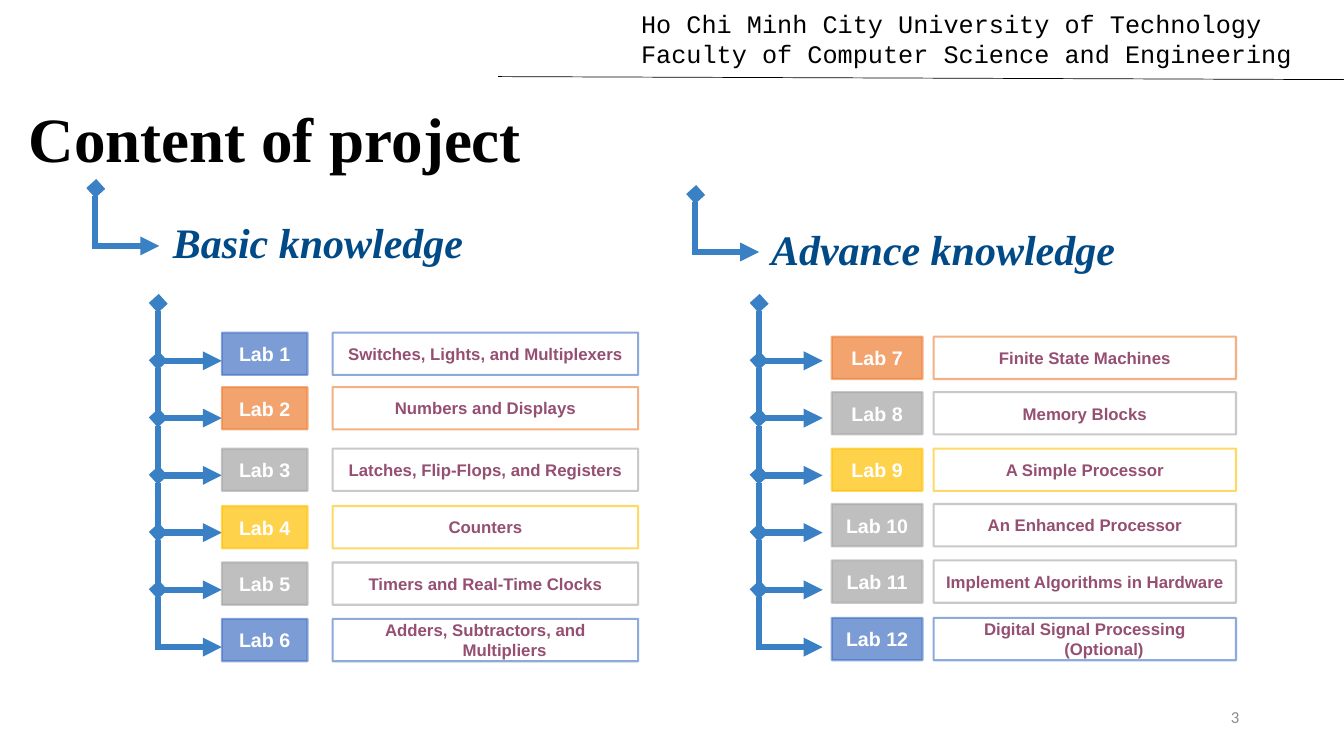
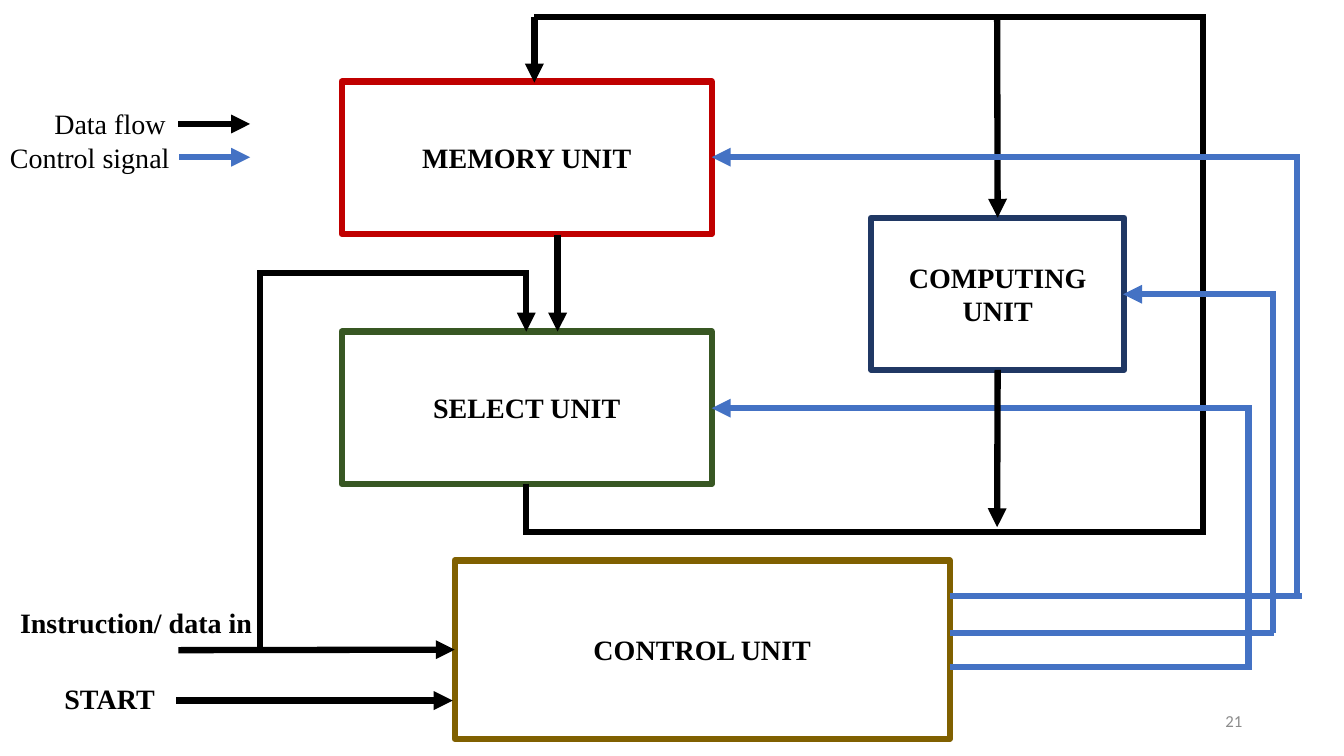
from lxml import etree
from pptx import Presentation
from pptx.dml.color import RGBColor
from pptx.enum import shapes, text
from pptx.oxml.ns import qn
from pptx.util import Inches, Pt

BLACK = RGBColor(0, 0, 0)
WHITE = RGBColor(255, 255, 255)
GREY = RGBColor(0x8C, 0x8C, 0x8C)
NAVY = RGBColor(0x00, 0x4A, 0x87)
PLUM = RGBColor(0x95, 0x4F, 0x72)
STEP = RGBColor(0x39, 0x80, 0xC5)
BLUE = RGBColor(0x44, 0x72, 0xC4)
ORANGE = RGBColor(0xED, 0x7D, 0x31)
SILVER = RGBColor(0xA5, 0xA5, 0xA5)
GOLD = RGBColor(0xFF, 0xC0, 0x00)
RED = RGBColor(0xC0, 0x00, 0x00)
GREEN = RGBColor(0x38, 0x57, 0x23)
DEEP = RGBColor(0x20, 0x38, 0x64)
BROWN = RGBColor(0x80, 0x60, 0x00)

SERIF = "Times New Roman"
LEFT, CENTER, RIGHT = (text.PP_ALIGN.LEFT, text.PP_ALIGN.CENTER, text.PP_ALIGN.RIGHT)
TITLE = dict(name=SERIF, size=Pt(45), bold=True, color=BLACK)
SECTION = dict(name=SERIF, size=Pt(30), bold=True, italic=True, color=NAVY)
HEADER = dict(name="Courier New", size=Pt(18), color=BLACK)
NUMBER = dict(name="Calibri", size=Pt(12), color=GREY)
LAB = dict(name="Arial", size=Pt(14), bold=True, color=WHITE)
TOPIC = dict(name="Arial", size=Pt(12), bold=True, color=PLUM)
LABEL = dict(name=SERIF, size=Pt(20), color=BLACK)
STRONG = dict(LABEL, bold=True)

UNIVERSITY = "Ho Chi Minh City University of Technology\nFaculty of Computer Science and Engineering"

COLUMNS = [
    dict(heading="Basic knowledge", heading_at=(1.6, 2.1, 3.11, 0.61),
         branch=(0.95, 1.87), spine=(1.57, 3.01), lab=(2.2, 0.85), topic=(3.3, 3.03),
         rows=[("Lab 1", "Switches, Lights, and Multiplexers", BLUE, 3.3),
               ("Lab 2", "Numbers and Displays", ORANGE, 3.84),
               ("Lab 3", "Latches, Flip-Flops, and Registers", SILVER, 4.45),
               ("Lab 4", "Counters", GOLD, 5.02),
               ("Lab 5", "Timers and Real-Time Clocks", SILVER, 5.58),
               ("Lab 6", "Adders, Subtractors, and Multipliers", BLUE, 6.14)]),
    dict(heading="Advance knowledge", heading_at=(7.53, 2.17, 3.65, 0.61),
         branch=(6.9, 1.93), spine=(7.53, 3.01), lab=(8.25, 0.9), topic=(9.26, 3),
         rows=[("Lab 7", "Finite State Machines", ORANGE, 3.34),
               ("Lab 8", "Memory Blocks", SILVER, 3.89),
               ("Lab 9", "A Simple Processor", GOLD, 4.45),
               ("Lab 10", "An Enhanced Processor", SILVER, 5),
               ("Lab 11", "Implement Algorithms in Hardware", SILVER, 5.56),
               ("Lab 12", "Digital Signal Processing (Optional)", BLUE, 6.13)]),
]
STEP_W, STEP_H, STEP_PITCH = 0.63, 0.57, 0.568
ROW_H = 0.42

UNITS = [
    ("MEMORY UNIT", (3.39, 0.81, 3.67, 1.51), RED),
    ("SELECT UNIT", (3.39, 3.29, 3.67, 1.51), GREEN),
    ("COMPUTING UNIT", (8.64, 2.16, 2.51, 1.51), DEEP),
    ("CONTROL UNIT", (4.51, 5.56, 4.91, 1.77), BROWN),
]
ROUTES = [
    ([(2.58, 6.45), (2.58, 2.71), (5.22, 2.71), (5.22, 3.29)], "triangle"),
    ([(5.22, 4.8), (5.22, 5.28), (11.93, 5.28), (11.93, 0.17), (5.3, 0.17)], None),
]
DATA_ARROWS = [
    ((1.77, 6.45), (4.51, 6.45), None, ("CONTROL UNIT", 1)),
    ((5.53, 2.33), (5.53, 3.29), None, None),
    ((5.3, 0.17), (5.3, 0.82), None, None),
    ((9.89, 0.17), (9.89, 2.16), None, ("COMPUTING UNIT", 0)),
    ((1.77, 1.23), (2.48, 1.23), None, None),
    ((1.75, 6.95), (4.49, 6.95), None, None),
]
COMPUTED = ((9.89, 3.67), (9.89, 5.23), ("COMPUTING UNIT", 2), None)
SIGNALS = [
    (12.88, 12.91, 5.91, (7.06, 1.56)),
    (12.63, 12.63, 6.28, (11.14, 2.92)),
    (12.4, 12.42, 6.62, (7.06, 4.05)),
]
CAPTIONS = [
    ("Instruction/ data in", (0.1, 5.96, 2.52, 0.44), STRONG),
    ("START", (0.54, 6.71, 1.11, 0.44), STRONG),
    ("Data flow", (0.44, 1.01, 1.32, 0.44), LABEL),
    ("Control signal", (0, 1.34, 1.8, 0.44), LABEL),
]


def write(shape, words, style, align, middle=False, wrap=True, hang=0):
    frame = shape.text_frame
    frame.word_wrap = wrap
    frame.vertical_anchor = text.MSO_ANCHOR.MIDDLE if middle else text.MSO_ANCHOR.TOP
    for index, line in enumerate(words.split("\n")):
        para = frame.add_paragraph() if index else frame.paragraphs[0]
        para.alignment = align
        if hang:
            props = para._p.get_or_add_pPr()
            props.set("marL", str(Inches(hang)))
            props.set("indent", str(-Inches(hang)))
        span = para.add_run()
        span.text = line
        for key, value in style.items():
            if key == "color":
                span.font.color.rgb = value
            else:
                setattr(span.font, key, value)


def add_text(page, words, at, style, align=LEFT, **layout):
    box = page.shapes.add_textbox(*map(Inches, at))
    write(box, words, style, align, **layout)


def set_alpha(fill_parent, percent):
    color = fill_parent.find(qn("a:solidFill"))[0]
    etree.SubElement(color, qn("a:alpha"), val=str(percent * 1000))


def add_box(page, words, at, style, line, width, fill=None, **layout):
    box = page.shapes.add_shape(shapes.MSO_SHAPE.RECTANGLE, *map(Inches, at))
    box.shadow.inherit = False
    if fill is None:
        box.fill.background()
    else:
        box.fill.solid()
        box.fill.fore_color.rgb = fill
    box.line.color.rgb = line
    box.line.width = Pt(width)
    write(box, words, style, CENTER, middle=True, **layout)
    return box


def style_line(shape, color, width, head, tail):
    shape.line.color.rgb = color
    shape.line.width = Pt(width)
    props = shape.element.spPr
    outline = props.find(qn("a:ln"))
    etree.SubElement(outline, qn("a:miter"), lim="800000")
    for tag, kind in (("a:headEnd", head), ("a:tailEnd", tail)):
        if kind:
            etree.SubElement(outline, qn(tag), type=kind)
    if props.find(qn("a:effectLst")) is None:
        etree.SubElement(props, qn("a:effectLst"))


def add_line(page, start, end, color, width=4.5, head=None, tail=None, bend=None):
    kind = shapes.MSO_CONNECTOR.STRAIGHT if bend is None else shapes.MSO_CONNECTOR.ELBOW
    line = page.shapes.add_connector(kind, *map(Inches, (*start, *end)))
    if bend is not None:
        guides = line.element.spPr.find(qn("a:prstGeom")).get_or_add_avLst()
        etree.SubElement(guides, qn("a:gd"), name="adj1", fmla=f"val {bend}")
    style_line(line, color, width, head, tail)
    return line


def add_route(page, points, tail):
    start, *rest = [tuple(map(Inches, point)) for point in points]
    builder = page.shapes.build_freeform(*start)
    builder.add_line_segments(rest, close=False)
    route = builder.convert_to_shape()
    route.shadow.inherit = False
    route.fill.background()
    style_line(route, BLACK, 4.5, None, tail)


def add_step(page, x, y):
    add_line(page, (x, y), (x + STEP_W, y + STEP_H), STEP,
             head="diamond", tail="triangle", bend=-700)


def add_page(deck, number, number_at):
    page = deck.slides.add_slide(deck.slide_layouts[6])
    add_text(page, number, (*number_at, 3, 0.4), NUMBER, RIGHT, middle=True)
    return page


def build_contents(deck):
    page = add_page(deck, "3", (9.39, 6.91))
    add_text(page, "Content of project", (0.11, 0.94, 5.23, 0.86), TITLE, CENTER)
    add_text(page, UNIVERSITY, (6.26, 0.03, 6.67, 0.71), HEADER)
    add_line(page, (4.94, 0.76), (13.33, 0.79), BLACK, 0.5)
    for column in COLUMNS:
        add_step(page, *column["branch"])
        add_text(page, column["heading"], column["heading_at"], SECTION, CENTER, wrap=False)
        spine_x, spine_y = column["spine"]
        for index in range(len(column["rows"])):
            add_step(page, spine_x, spine_y + index * STEP_PITCH)
        for lab, topic, color, top in column["rows"]:
            for words, place, style, fill in ((lab, "lab", LAB, color),
                                              (topic, "topic", TOPIC, None)):
                left, width = column[place]
                box = add_box(page, words, (left, top, width, ROW_H), style,
                              color, 1.5, fill, hang=0.38)
                props = box.element.spPr
                set_alpha(props.find(qn("a:ln")), 60)
                if fill is not None:
                    set_alpha(props, 70)


def build_diagram(deck):
    page = add_page(deck, "21", (9.42, 6.95))
    units = {name: add_box(page, name, at, STRONG, color, 4.5, WHITE)
             for name, at, color in UNITS}

    def add_data_arrow(start, end, source, target):
        arrow = add_line(page, start, end, BLACK, tail="triangle")
        if source:
            arrow.begin_connect(units[source[0]], source[1])
        if target:
            arrow.end_connect(units[target[0]], target[1])

    for points, tail in ROUTES:
        add_route(page, points, tail)
    for arrow in DATA_ARROWS:
        add_data_arrow(*arrow)
    for riser, reach, y, target in SIGNALS:
        add_line(page, (9.42, y), (reach, y), BLUE)
        add_line(page, (riser, y), target, BLUE, tail="triangle", bend=300)
    add_line(page, (1.78, 1.56), (2.48, 1.56), BLUE, tail="triangle")
    add_data_arrow(*COMPUTED)
    for words, at, style in CAPTIONS:
        add_text(page, words, at, style, wrap=False)


def main():
    deck = Presentation()
    deck.slide_width, deck.slide_height = Inches(13.33), Inches(7.5)
    build_contents(deck)
    build_diagram(deck)
    deck.save("out.pptx")


if __name__ == "__main__":
    main()
